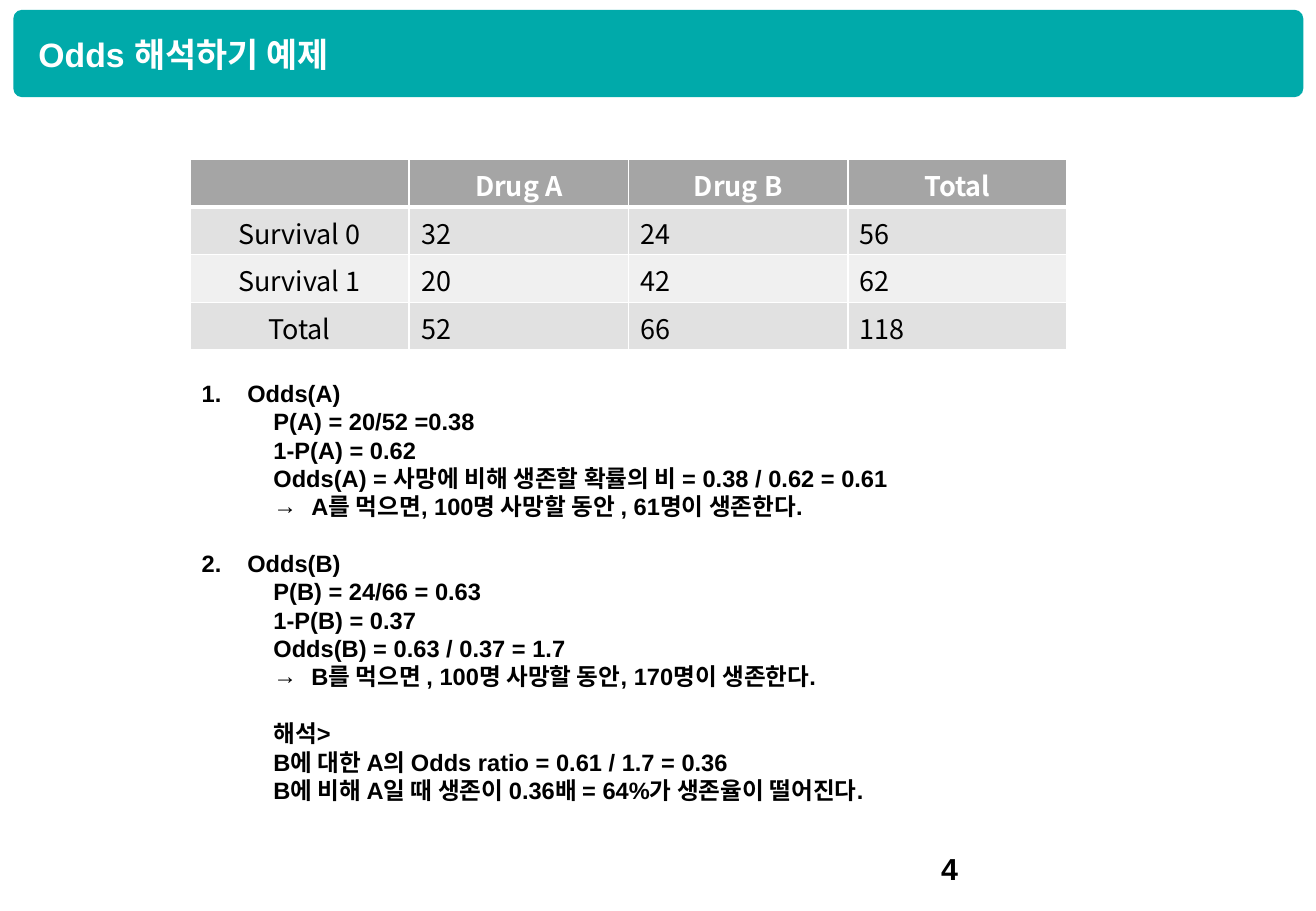
"""Builds the slide on interpreting odds with a drug survival example."""
from lxml import etree
from pptx import Presentation
from pptx.dml.color import RGBColor
from pptx.enum.shapes import MSO_SHAPE
from pptx.enum.text import MSO_ANCHOR, PP_ALIGN
from pptx.oxml.ns import qn
from pptx.util import Pt

ROUNDED = MSO_SHAPE.ROUNDED_RECTANGLE
MIDDLE, TOP = MSO_ANCHOR.MIDDLE, MSO_ANCHOR.TOP
LEFT, CENTER = PP_ALIGN.LEFT, PP_ALIGN.CENTER
LATIN, KOREAN = "Arial", "Noto Sans CJK KR"
COLORS = {"teal": "00AAAA", "white": "FFFFFF", "black": "000000",
          "header": "A5A5A5", "odd": "E1E1E1", "even": "F0F0F0"}


def format_runs(p, size, color, bold, font=LATIN):
    for r in p.runs:
        r.font.size = Pt(size)
        r.font.bold = bold
        r.font.name = font
        r.font.color.rgb = RGBColor.from_string(COLORS[color])
        etree.SubElement(r.font._element, qn("a:ea"), typeface=KOREAN)


def add_border(tcPr, side, width):
    ln = etree.SubElement(tcPr, qn("a:ln" + side), w=str(Pt(width)))
    fill = etree.SubElement(ln, qn("a:solidFill"))
    etree.SubElement(fill, qn("a:srgbClr"), val=COLORS["white"])


prs = Presentation()
prs.slide_width, prs.slide_height = Pt(780), Pt(540)
s = prs.slides.add_slide(prs.slide_layouts[5])

bar = s.shapes.add_shape(ROUNDED, Pt(7.9), Pt(5.8), Pt(764.6), Pt(51.8))
bar.adjustments[0] = 0.1
bar.shadow.inherit = False
bar.fill.solid()
bar.fill.fore_color.rgb = RGBColor.from_string(COLORS["teal"])
bar.line.fill.background()
s.shapes._spTree.insert(2, bar._element)

title = s.shapes.title
title.left, title.top, title.width, title.height = Pt(10), Pt(16), Pt(425.5), Pt(31.5)
tf = title.text_frame
tf.text = " Odds 해석하기 예제"
tf.vertical_anchor = MIDDLE
tf.paragraphs[0].alignment = LEFT
format_runs(tf.paragraphs[0], 20, "white", True)

number = s.shapes.add_textbox(Pt(550.8), Pt(500.4), Pt(175.7), Pt(28.8))
tf = number.text_frame
tf.word_wrap = True
tf.vertical_anchor = MIDDLE
tf.text = "4"
format_runs(tf.paragraphs[0], 18, "black", True)

rows = [["", "Drug A", "Drug B", "Total"],
        ["Survival 0", "32", "24", "56"],
        ["Survival 1", "20", "42", "62"],
        ["Total", "52", "66", "118"]]
table = s.shapes.add_table(4, 4, Pt(112.5), Pt(94.5), Pt(520), Pt(113)).table
for i, row in enumerate(rows):
    table.rows[i].height = Pt(28.25)
    table.columns[i].width = Pt(130)
    fill = "header" if i == 0 else "odd" if i % 2 else "even"
    for j, text in enumerate(row):
        cell = table.cell(i, j)
        cell.text = text
        cell.vertical_anchor = TOP
        cell.margin_bottom = 0
        tcPr = cell._tc.get_or_add_tcPr()
        for side in "LRTB":
            thick = (i, side) in [(0, "B"), (1, "T")]
            add_border(tcPr, side, 3 if thick else 1)
        cell.fill.solid()
        cell.fill.fore_color.rgb = RGBColor.from_string(COLORS[fill])
        p = cell.text_frame.paragraphs[0]
        p.alignment = CENTER if i == 0 or j == 0 else LEFT
        format_runs(p, 16, "black" if i else "white", i == 0, KOREAN)

LINE = 16.8
INDENTS = {"number": (27, -27), "plain": (42.5, 0), "arrow": (65, -22.5)}
notes = [
    ("number", "Odds(A)"),
    ("plain", "P(A) = 20/52 =0.38"),
    ("plain", "1-P(A) = 0.62"),
    ("plain", "Odds(A) = 사망에 비해 생존할 확률의 비 = 0.38 / 0.62 = 0.61"),
    ("arrow", "A를 먹으면, 100명 사망할 동안 , 61명이 생존한다."),
    ("number", "Odds(B)"),
    ("plain", "P(B) = 24/66 = 0.63"),
    ("plain", "1-P(B) = 0.37"),
    ("plain", "Odds(B) = 0.63 / 0.37 = 1.7"),
    ("arrow", "B를 먹으면 , 100명 사망할 동안, 170명이 생존한다."),
    ("plain", "해석>"),
    ("plain", "B에 대한 A의 Odds ratio = 0.61 / 1.7 = 0.36"),
    ("plain", "B에 비해 A일 때 생존이 0.36배 = 64%가 생존율이 떨어진다."),
]
box = s.shapes.add_textbox(Pt(112.5), Pt(221), Pt(509), Pt(262))
tf = box.text_frame
tf.word_wrap = True
section, previous = 0, None
for kind, text in notes:
    p = tf.add_paragraph() if previous else tf.paragraphs[0]
    p.text = text
    p.level = 0 if kind == "number" else 1
    p.line_spacing = Pt(LINE)
    p.space_before = Pt(LINE if previous == "arrow" else 0)
    format_runs(p, 14, "black", True)
    pPr = p._p.get_or_add_pPr()
    margin, indent = INDENTS[kind]
    pPr.set("marL", str(Pt(margin)))
    pPr.set("indent", str(Pt(indent)))
    if kind == "number":
        section += 1
        etree.SubElement(pPr, qn("a:buFont"), typeface=LATIN)
        etree.SubElement(pPr, qn("a:buAutoNum"), type="arabicPeriod", startAt=str(section))
    elif kind == "arrow":
        etree.SubElement(pPr, qn("a:buFont"), typeface=LATIN)
        etree.SubElement(pPr, qn("a:buChar"), char="→")
    previous = kind

prs.save("out.pptx")
